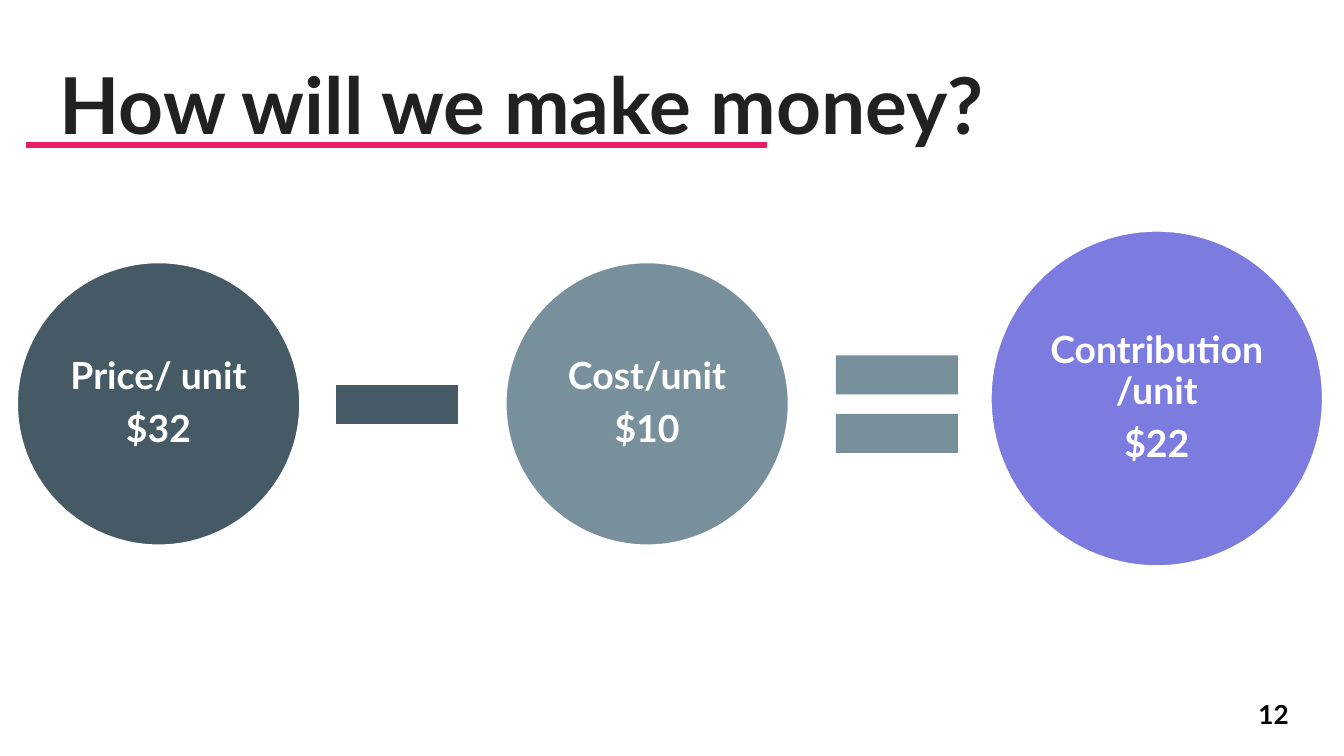
from dataclasses import dataclass

from lxml import etree
from pptx import Presentation
from pptx.dml.color import RGBColor
from pptx.enum.shapes import MSO_CONNECTOR, MSO_SHAPE
from pptx.enum.text import MSO_ANCHOR, PP_ALIGN
from pptx.oxml.ns import qn
from pptx.util import Emu, Pt

ELLIPSE = MSO_SHAPE.OVAL
MINUS = MSO_SHAPE.MATH_MINUS
EQUAL = MSO_SHAPE.MATH_EQUAL
STRAIGHT = MSO_CONNECTOR.STRAIGHT
TOP, MIDDLE = MSO_ANCHOR.TOP, MSO_ANCHOR.MIDDLE
LEFT, CENTER = PP_ALIGN.LEFT, PP_ALIGN.CENTER

FONT = "Lato"
PINK = RGBColor(0xE9, 0x1D, 0x63)
INK = RGBColor(0x21, 0x21, 0x21)
BLACK = RGBColor(0x00, 0x00, 0x00)
WHITE = RGBColor(0xFF, 0xFF, 0xFF)
SLATE = RGBColor(0x45, 0x5A, 0x64)
STEEL = RGBColor(0x78, 0x90, 0x9C)
VIOLET = RGBColor(0x7C, 0x7C, 0xE0)

EMU_PER_PX = 4572  # 200 px to the inch


def px(length: int) -> Emu:
    return Emu(length * EMU_PER_PX)


@dataclass
class Box:
    left: int
    top: int
    width: int
    height: int

    def lengths(self) -> tuple[Emu, ...]:
        return tuple(px(n) for n in (self.left, self.top, self.width, self.height))

    def inset(self, distance: int) -> "Box":
        return Box(self.left + distance, self.top + distance,
                   self.width - 2 * distance, self.height - 2 * distance)


@dataclass
class Term:
    box: Box
    label_inset: int
    color: RGBColor
    lines: list[str]


@dataclass
class Operator:
    left: int
    kind: MSO_SHAPE
    color: RGBColor


def add_text(slide, box: Box, lines: list[str], size: int, color: RGBColor,
             anchor=TOP, align=LEFT, margin: int = 20,
             line_spacing: float = 1.0, space_after: int = 0) -> None:
    frame = slide.shapes.add_textbox(*box.lengths()).text_frame
    frame.word_wrap = True
    frame.vertical_anchor = anchor
    frame.margin_left = frame.margin_right = px(margin)
    frame.margin_top = frame.margin_bottom = px(margin)
    frame.text = "\n".join(lines)
    for para in frame.paragraphs:
        para.alignment = align
        para.line_spacing = line_spacing
        para.space_after = Pt(space_after)
        para.font.name = FONT
        para.font.size = Pt(size)
        para.font.bold = True
        para.font.color.rgb = color


def add_filled_shape(slide, kind: MSO_SHAPE, box: Box, color: RGBColor):
    shape = slide.shapes.add_shape(kind, *box.lengths())
    shape.shadow.inherit = False
    shape.fill.solid()
    shape.fill.fore_color.rgb = color
    shape.line.fill.background()
    return shape


def add_term(slide, term: Term) -> None:
    circle = add_filled_shape(slide, ELLIPSE, term.box, term.color)
    circle.line.color.rgb = WHITE
    circle.line.width = Pt(2)
    add_text(slide, term.box.inset(term.label_inset), term.lines, 20, WHITE,
             MIDDLE, CENTER, margin=6, line_spacing=0.9, space_after=7)


def add_operator(slide, operator: Operator) -> None:
    box = Box(operator.left, 478, 247, 247)
    add_filled_shape(slide, operator.kind, box, operator.color)


def add_title_rule(slide) -> None:
    rule = slide.shapes.add_connector(STRAIGHT, px(39), px(216), px(1142), px(216))
    rule.line.color.rgb = PINK
    rule.line.width = Pt(3)
    etree.SubElement(rule._element.spPr, qn("a:effectLst"))


# The equation, read from left to right
EQUATION = [
    Term(Box(24, 389, 424, 424), 62, SLATE, ["Price/ unit", "$32"]),
    Operator(468, MINUS, SLATE),
    Term(Box(751, 389, 424, 424), 62, STEEL, ["Cost/unit", "$10"]),
    Operator(1211, EQUAL, STEEL),
    Term(Box(1473, 342, 497, 502), 73, VIOLET, ["Contribution/unit", "$22"]),
]


def main() -> None:
    deck = Presentation()
    deck.slide_width, deck.slide_height = px(2000), px(1125)
    slide = deck.slides.add_slide(deck.slide_layouts[6])

    # Title and page number
    add_title_rule(slide)
    add_text(slide, Box(69, 64, 1864, 176), ["How will we make money?"], 42, INK)
    add_text(slide, Box(1853, 1020, 120, 86), ["12"], 14, BLACK, MIDDLE)

    # Circles and the signs between them
    for part in EQUATION:
        if isinstance(part, Term):
            add_term(slide, part)
        else:
            add_operator(slide, part)

    deck.save("out.pptx")


if __name__ == "__main__":
    main()
